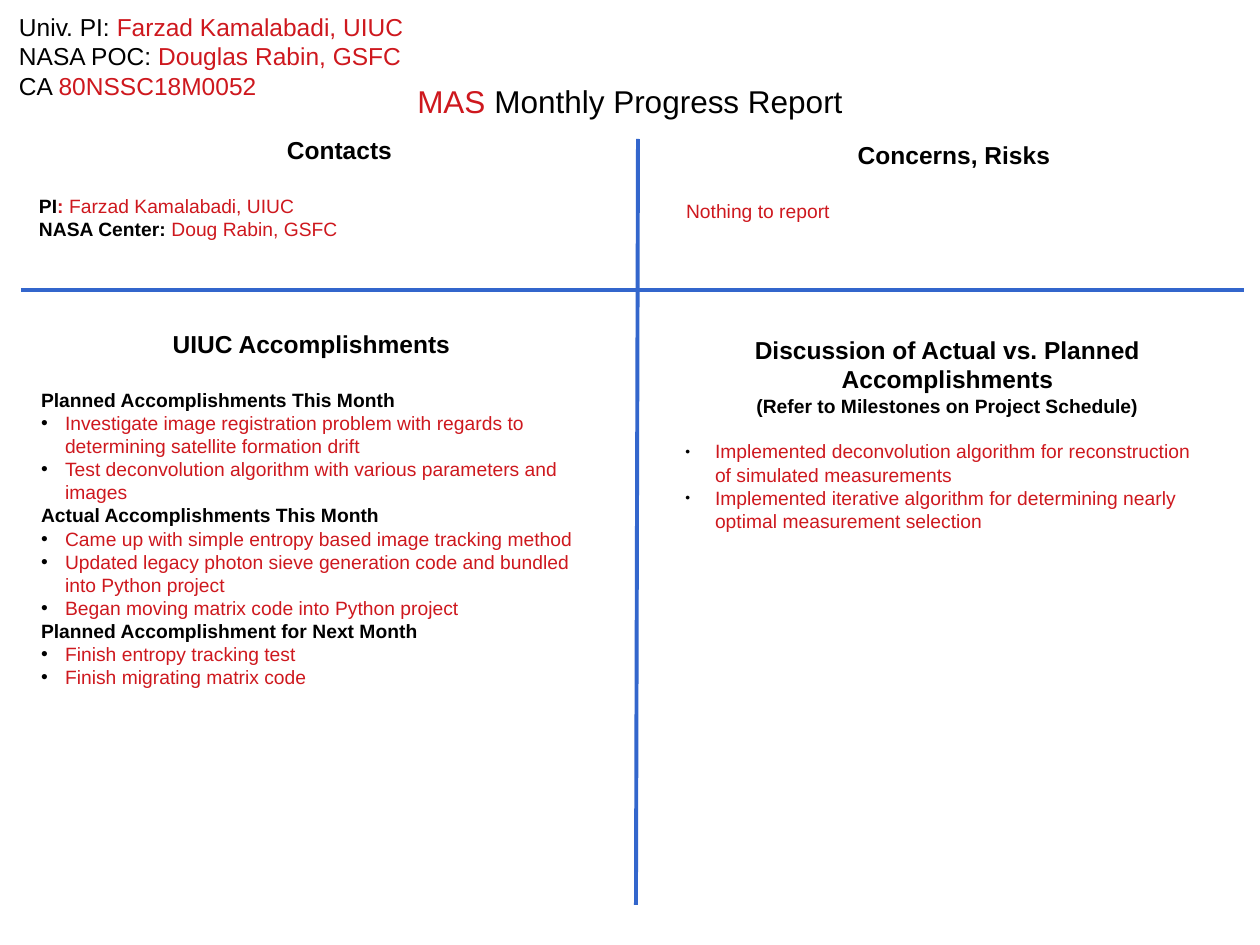
from lxml import etree
from pptx import Presentation
from pptx import util as u
from pptx.dml.color import RGBColor
from pptx.enum import shapes, text
from pptx.oxml.ns import qn

PX = 914400 / 126
BLACK = RGBColor(0x00, 0x00, 0x00)
RED = RGBColor(0xCE, 0x18, 0x1E)
BLUE = RGBColor(0x33, 0x66, 0xCC)


def px(value):
    return u.Emu(round(value * PX))


def write_paragraphs(shape, box, insets, paragraphs):
    """Place the shape and fill it with (format name, runs) paragraphs."""
    for name, value in zip(("left", "top", "width", "height"), box):
        setattr(shape, name, px(value))
    frame = shape.text_frame
    frame_format = {
        "word_wrap": True,
        "auto_size": text.MSO_AUTO_SIZE.NONE,
        "vertical_anchor": text.MSO_ANCHOR.TOP,
        "margin_left": px(insets[0]), "margin_right": px(insets[0]),
        "margin_top": px(insets[1]), "margin_bottom": px(insets[1]),
    }
    for name, value in frame_format.items():
        setattr(frame, name, value)

    for number, (kind, runs) in enumerate(paragraphs):
        paragraph = frame.paragraphs[0] if number == 0 else frame.add_paragraph()
        style = STYLES[kind]
        paragraph_format = {
            "alignment": style.get("align", text.PP_ALIGN.LEFT),
            "space_before": u.Pt(0),
            "space_after": u.Pt(style.get("after", 0)),
            "line_spacing": 1.0,
        }
        for name, value in paragraph_format.items():
            setattr(paragraph, name, value)

        properties = paragraph._p.get_or_add_pPr()
        indent, character, percent = style.get("bullet", (0, None, 100))
        properties.set("marL", str(px(indent)))
        properties.set("indent", str(px(-indent)))
        if character:
            color = etree.SubElement(properties, qn("a:buClr"))
            etree.SubElement(color, qn("a:srgbClr"), val=str(BLACK))
            etree.SubElement(properties, qn("a:buSzPct"), val=str(percent * 1000))
            etree.SubElement(properties, qn("a:buFont"), typeface="Arial")
            etree.SubElement(properties, qn("a:buChar"), char=character)
        else:
            etree.SubElement(properties, qn("a:buNone"))

        for words, color, bold in runs:
            run = paragraph.add_run()
            run.text = words
            font_format = {"name": "Arial", "size": u.Pt(style["size"]), "bold": bold}
            for name, value in font_format.items():
                setattr(run.font, name, value)
            run.font.color.rgb = color


CENTER = text.PP_ALIGN.CENTER
STYLES = {
    "title": {"size": 18, "align": CENTER},
    "header": {"size": 14},
    "heading": {"size": 14, "align": CENTER, "after": 17},
    "tight heading": {"size": 14, "align": CENTER},
    "subheading": {"size": 11, "align": CENTER, "after": 13},
    "plain": {"size": 11},
    "bullet": {"size": 11, "bullet": (24, "•", 100)},
    "small bullet": {"size": 11, "bullet": (30, "●", 45)},
}

presentation = Presentation()
presentation.slide_width = px(1260)
presentation.slide_height = px(945)
slide = presentation.slides.add_slide(presentation.slide_layouts.get_by_name("Comparison"))
bodies = {holder.placeholder_format.idx: holder for holder in slide.placeholders}

# Quadrant dividers
for ends in ((638, 139, 636, 905), (21, 290, 1244, 290)):
    divider = slide.shapes.add_connector(
        shapes.MSO_CONNECTOR.STRAIGHT, *(px(value) for value in ends))
    divider.line.color.rgb = BLUE
    divider.line.width = u.Pt(2.25)
    etree.SubElement(divider._element.spPr, qn("a:effectLst"))

# Title and project header
write_paragraphs(slide.shapes.title, (38, 76, 1184, 48), (13, 6), [
    ("title", [("MAS", RED, False), (" Monthly Progress Report", BLACK, False)]),
])
header = slide.shapes.add_textbox(0, 0, 0, 0)
write_paragraphs(header, (6, 6, 507, 107), (13, 6), [
    ("header", [(label, BLACK, False), (value, RED, False)])
    for label, value in (
        ("Univ. PI: ", "Farzad Kamalabadi, UIUC"),
        ("NASA POC: ", "Douglas Rabin, GSFC"),
        ("CA ", "80NSSC18M0052"),
    )
])

# Upper quadrants
write_paragraphs(bodies[1], (26, 129, 627, 296), (13, 6), [
    ("heading", [("Contacts", BLACK, True)]),
    ("plain", [("PI", BLACK, True), (": ", RED, True),
               ("Farzad Kamalabadi, UIUC", RED, False)]),
    ("plain", [("NASA Center: ", BLACK, True), ("Doug Rabin, GSFC", RED, False)]),
])
write_paragraphs(bodies[3], (673, 134, 562, 155), (13, 6), [
    ("heading", [("Concerns, Risks", BLACK, True)]),
    ("plain", [("Nothing to report", RED, False)]),
])

# Lower quadrants
accomplishments = {
    "Planned Accomplishments This Month": (
        "Investigate image registration problem with regards to "
        "determining satellite formation drift",
        "Test deconvolution algorithm with various parameters and images",
    ),
    "Actual Accomplishments This Month": (
        "Came up with simple entropy based image tracking method",
        "Updated legacy photon sieve generation code and bundled into Python project",
        "Began moving matrix code into Python project",
    ),
    "Planned Accomplishment for Next Month": (
        "Finish entropy tracking test",
        "Finish migrating matrix code",
    ),
}
accomplishment_lines = [("heading", [("UIUC Accomplishments", BLACK, True)])]
for period, items in accomplishments.items():
    accomplishment_lines.append(("plain", [(period, BLACK, True)]))
    accomplishment_lines += [("bullet", [(item, RED, False)]) for item in items]
write_paragraphs(bodies[2], (30, 324, 563, 315), (11, 5), accomplishment_lines)

write_paragraphs(bodies[4], (672, 329, 551, 295), (13, 6), [
    ("tight heading", [("Discussion of Actual vs. Planned Accomplishments", BLACK, True)]),
    ("subheading", [("(Refer to Milestones on Project Schedule)", BLACK, True)]),
    ("small bullet", [("Implemented deconvolution algorithm for reconstruction "
                       "of simulated measurements", RED, False)]),
    ("small bullet", [("Implemented iterative algorithm for determining nearly "
                       "optimal measurement selection", RED, False)]),
])

presentation.save("out.pptx")
